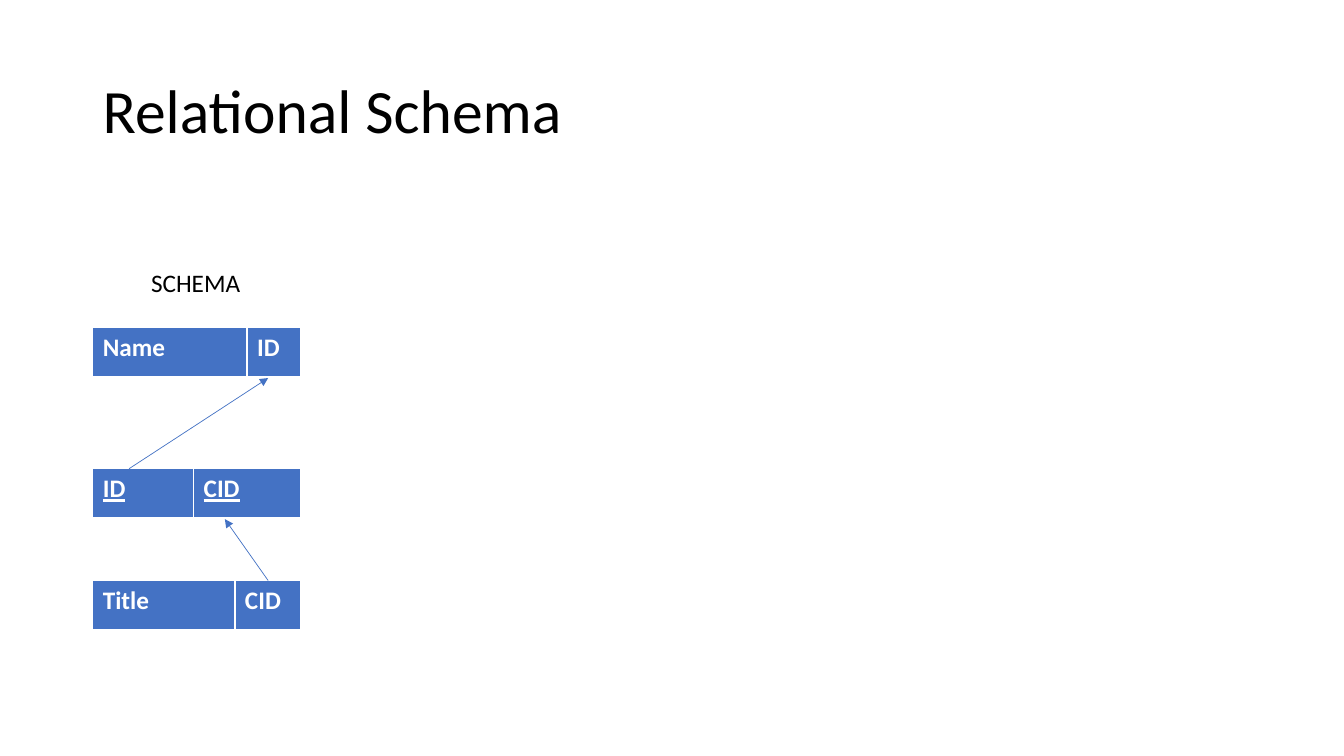
from lxml.etree import SubElement
from pptx import Presentation
from pptx.dml.color import RGBColor
from pptx.enum.shapes import MSO_CONNECTOR
from pptx.enum.text import MSO_ANCHOR, MSO_AUTO_SIZE
from pptx.oxml import parse_xml
from pptx.oxml.ns import nsdecls, qn
from pptx.util import Emu, Pt

EMU_PER_PX = 9144
FONT = "Calibri"
BLACK = RGBColor(0x00, 0x00, 0x00)
WHITE = RGBColor(0xFF, 0xFF, 0xFF)
BLUE = RGBColor(0x44, 0x72, 0xC4)

TABLE_LEFT = 92
ROW_HEIGHT = 50
BORDERS = {"lnL": 1, "lnR": 1, "lnT": 1, "lnB": 3}


def px(n):
    return Emu(n * EMU_PER_PX)


def write_text(tf, text, size=18, color=BLACK, bold=False, underline=False,
               line_spacing=None):
    p = tf.paragraphs[0]
    p.line_spacing = line_spacing
    r = p.add_run()
    r.text = text
    r.font.name = FONT
    r.font.size = Pt(size)
    r.font.color.rgb = color
    r.font.bold = bold
    r.font.underline = underline


def add_text(s, box, text, wrap=True, anchor=MSO_ANCHOR.TOP,
             auto_size=MSO_AUTO_SIZE.NONE, **fmt):
    tf = s.shapes.add_textbox(*map(px, box)).text_frame
    tf.word_wrap = wrap
    tf.auto_size = auto_size
    tf.vertical_anchor = anchor
    write_text(tf, text, **fmt)


def set_borders(cell):
    """Give the cell white borders; they must precede the fill in tcPr."""
    tc_pr = cell._tc.get_or_add_tcPr()
    for i, (tag, width) in enumerate(BORDERS.items()):
        tc_pr.insert(i, parse_xml(
            f'<a:{tag} {nsdecls("a")} w="{Pt(width)}"><a:solidFill>'
            f'<a:srgbClr val="{WHITE}"/></a:solidFill></a:{tag}>'))


def add_relation(s, top, columns, underline=False):
    """Draw a one-row table from (attribute, width) pairs."""
    width = sum(w for _, w in columns)
    table = s.shapes.add_table(1, len(columns), px(TABLE_LEFT), px(top),
                               px(width), px(ROW_HEIGHT)).table
    for i, (attribute, w) in enumerate(columns):
        table.columns[i].width = px(w)
        cell = table.cell(0, i)
        cell.fill.solid()
        cell.fill.fore_color.rgb = BLUE
        set_borders(cell)
        write_text(cell.text_frame, attribute, color=WHITE, bold=True,
                   underline=underline)


def add_arrow(s, start, end):
    sp = s.shapes.add_connector(MSO_CONNECTOR.STRAIGHT, *map(px, start + end))
    sp.line.color.rgb = BLUE
    sp.line.width = Pt(0.5)
    SubElement(sp.line._get_or_add_ln(), qn("a:tailEnd"), type="triangle")
    SubElement(sp._element.spPr, qn("a:effectLst"))


def main():
    prs = Presentation()
    prs.slide_width, prs.slide_height = px(1333), px(750)
    s = prs.slides.add_slide(prs.slide_layouts[6])

    add_text(s, (92, 40, 1150, 145), "Relational Schema", size=44,
             anchor=MSO_ANCHOR.MIDDLE, line_spacing=0.9)
    add_text(s, (140, 260, 109, 40), "SCHEMA", wrap=False,
             auto_size=MSO_AUTO_SIZE.SHAPE_TO_FIT_TEXT)

    person_top, link_top, course_top = 325, 465, 576
    add_relation(s, person_top, [("Name", 153), ("ID", 53)])
    add_relation(s, link_top, [("ID", 100), ("CID", 106)], underline=True)
    add_relation(s, course_top, [("Title", 141), ("CID", 65)])

    add_arrow(s, (266, course_top), (223, link_top + ROW_HEIGHT))
    add_arrow(s, (128, link_top), (266, person_top + ROW_HEIGHT))

    prs.save("out.pptx")


if __name__ == "__main__":
    main()
